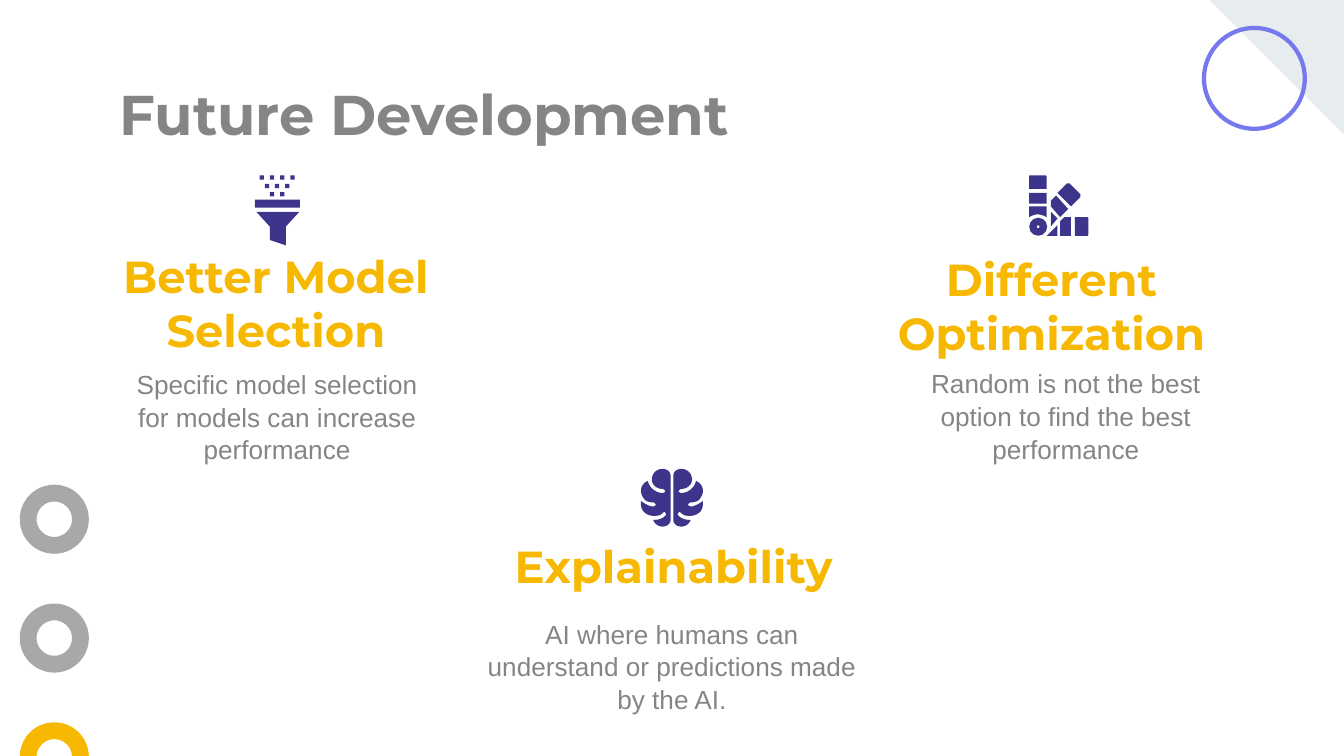
from dataclasses import dataclass

from pptx import Presentation
from pptx.dml.color import RGBColor
from pptx.enum.shapes import MSO_SHAPE as Kind
from pptx.enum.text import MSO_ANCHOR as Anchor, PP_ALIGN as Align
from pptx.shapes.autoshape import Shape
from pptx.slide import Slide
from pptx.util import Pt

GRAY = RGBColor(0x84, 0x85, 0x84)
RING = RGBColor(0xA8, 0xA8, 0xA7)
GOLD = RGBColor(0xF7, 0xB8, 0x01)
NAVY = RGBColor(0x3D, 0x34, 0x8B)
VIOLET = RGBColor(0x76, 0x78, 0xED)
PALE = RGBColor(0xE7, 0xEC, 0xEF)

CELL = 0.72  # points per cell of the icon grid
STEPS = 6  # line pieces per curve


@dataclass(frozen=True)
class Style:
    font: str
    size: float
    color: RGBColor
    bold: bool = False
    align: Align = Align.CENTER
    anchor: Anchor = Anchor.TOP
    space: float = 1.0


@dataclass(frozen=True)
class Label:
    text: str
    left: float
    top: float
    width: float
    height: float
    style: Style


@dataclass(frozen=True)
class Icon:
    left: float
    top: float
    flip: int = 1

    def place(self, x: float, y: float) -> tuple[float, float]:
        return self.left + self.flip * x * CELL, self.top + y * CELL


TITLE = Style("Montserrat", 30, GRAY, True, Align.LEFT)
HEAD = Style("Montserrat", 24, GOLD, True, anchor=Anchor.BOTTOM)
BODY = Style("Arial", 14, GRAY, space=1.04)

LABELS = [
    Label("Future Development", 57, 35.3, 607, 45, TITLE),
    Label("Better Model Selection", 47, 155.5, 201.6, 42.5, HEAD),
    Label("Different Optimization", 471.5, 157, 183.6, 42.5, HEAD),
    Label("Explainability", 266.5, 282.3, 188.6, 42.5, HEAD),
    Label("Specific model selection for models can increase performance",
          66, 189.5, 165, 78, BODY),
    Label("Random is not the best option to find the best performance",
          489, 189.2, 164, 38, BODY),
    Label("AI where humans can understand or predictions made by the AI.",
          249.5, 323.2, 221, 63.4, BODY),
]

# Icon outlines in grid cells: M move, L line, C curve
FUNNEL = "M 1 27 L 11 38 L 11 48 L 23 52 L 23 38 L 33 27"
SWATCHES = [
    "M 0 23 L 0 31 C 2 30 4 29 6 29 C 9 29 11 30 13 31 L 13 23",
    "M 1 0 C 0 0 0 0 0 1 L 0 10 L 13 10 L 13 1 C 13 0 12 0 12 0",
    "M 16 27 L 16 38 L 21 32",
    "M 20 15 L 16 19 L 16 23 L 23 31 L 29 25",
    "M 29 6 C 29 6 29 6 28 6 L 21 13 L 31 23 L 38 16 C 38 15 38 14 38 14 L 30 6",
    "M 21 37 L 13 45 L 21 45",
    "M 26 31 L 23 34 L 23 45 L 31 45 L 31 31",
    "M 34 31 L 34 45 L 43 45 C 44 45 44 44 44 43 L 44 33 C 44 32 44 31 43 31",
]
LOBE = (
    "M 7 0 C 4 0 1 2 1 5 L 1 38 C 1 41 4 43 7 43 C 10 43 13 41 14 38 "
    "C 14 38 14 38 13 38 C 10 38 7 37 5 35 C 4 34 4 33 5 33 "
    "C 5 32 5 32 6 32 C 6 32 7 33 7 33 C 9 35 11 35 14 35 "
    "C 18 35 23 32 23 27 C 23 26 23 25 23 24 C 20 26 17 28 14 28 "
    "C 13 28 12 27 12 27 C 12 26 13 25 14 25 C 17 25 20 24 21 22 "
    "C 25 17 23 11 18 9 C 17 14 12 18 7 18 C 6 18 5 17 5 17 "
    "C 5 16 6 15 7 15 C 11 15 15 12 15 8 C 15 3 11 0 7 0"
)


def paint(shape: Shape, color: RGBColor) -> None:
    shape.shadow.inherit = False
    shape.fill.solid()
    shape.fill.fore_color.rgb = color
    shape.line.fill.background()


def draw_ring(slide: Slide, left: float, top: float, size: float,
              color: RGBColor, width: float) -> None:
    ring = slide.shapes.add_shape(Kind.OVAL, Pt(left), Pt(top), Pt(size), Pt(size))
    ring.shadow.inherit = False
    ring.fill.background()
    ring.line.color.rgb = color
    ring.line.width = Pt(width)


def trace(outline: str) -> list[tuple[float, float]]:
    """Turn an outline into points, with curves cut into short lines."""
    spots: list[tuple[float, float]] = []
    words = iter(outline.split())
    for mark in words:
        count = 3 if mark == "C" else 1
        ends = [(float(next(words)), float(next(words))) for _ in range(count)]
        if mark != "C":
            spots += ends
            continue
        knots = [spots[-1], *ends]
        for step in range(1, STEPS + 1):
            t = step / STEPS
            parts = ((1 - t) ** 3, 3 * t * (1 - t) ** 2, 3 * t * t * (1 - t), t ** 3)
            spots.append((sum(p * k[0] for p, k in zip(parts, knots)),
                          sum(p * k[1] for p, k in zip(parts, knots))))
    return spots


def draw_form(slide: Slide, spots: list[tuple[float, float]], color: RGBColor) -> None:
    first, *rest = [(Pt(x), Pt(y)) for x, y in spots]
    form = slide.shapes.build_freeform(*first, scale=1.0)
    form.add_line_segments(rest, close=True)
    paint(form.convert_to_shape(), color)


def draw_path(slide: Slide, icon: Icon, outline: str) -> None:
    draw_form(slide, [icon.place(x, y) for x, y in trace(outline)], NAVY)


def draw_part(slide: Slide, icon: Icon, kind: Kind, x: float, y: float,
              width: float, height: float) -> Shape:
    left, top = icon.place(x, y)
    part = slide.shapes.add_shape(kind, Pt(left), Pt(top),
                                  Pt(width * CELL), Pt(height * CELL))
    paint(part, NAVY)
    return part


def draw_label(slide: Slide, label: Label) -> None:
    style = label.style
    box = slide.shapes.add_textbox(Pt(label.left), Pt(label.top),
                                   Pt(label.width), Pt(label.height))
    frame = box.text_frame
    frame.word_wrap = True
    frame.vertical_anchor = style.anchor
    frame.margin_left = frame.margin_right = Pt(7.2)
    frame.margin_top = frame.margin_bottom = Pt(7.2)
    frame.text = label.text
    para = frame.paragraphs[0]
    para.alignment = style.align
    para.line_spacing = style.space
    font = para.runs[0].font
    font.name, font.size, font.bold = style.font, Pt(style.size), style.bold
    font.color.rgb = style.color


def main() -> None:
    deck = Presentation()
    deck.slide_width, deck.slide_height = Pt(720), Pt(405)
    slide = deck.slides.add_slide(deck.slide_layouts[6])

    # Corner and side decoration
    draw_form(slide, [(648, 0), (720, 0), (720, 72)], PALE)
    draw_ring(slide, 645, 15, 54, VIOLET, 2.27)
    for row, color in enumerate((RING, RING, GOLD)):
        draw_ring(slide, 15.1, 264.2 + 63.65 * row, 28, color, 9)

    # Title, headings and descriptions
    for label in LABELS:
        draw_label(slide, label)

    # Funnel with three rows of falling dots
    funnel = Icon(136.6, 94)
    draw_path(slide, funnel, FUNNEL)
    draw_part(slide, funnel, Kind.RECTANGLE, 0, 18, 33.5, 6)
    for row in range(3):
        for col in range(4 - row):
            draw_part(slide, funnel, Kind.RECTANGLE,
                      3.5 + 3.8 * row + 7.6 * col, 6.2 * row, 3.2, 3.2)

    # Colour swatches
    fan = Icon(551.4, 94)
    for outline in SWATCHES:
        draw_path(slide, fan, outline)
    draw_part(slide, fan, Kind.RECTANGLE, 0, 13, 13, 8)
    pivot = draw_part(slide, fan, Kind.DONUT, 0, 31.5, 13.4, 13.4)
    pivot.adjustments[0] = 0.42

    # Brain: two mirrored lobes
    for flip in (1, -1):
        draw_path(slide, Icon(360, 251.2, flip), LOBE)

    deck.save("out.pptx")


if __name__ == "__main__":
    main()
